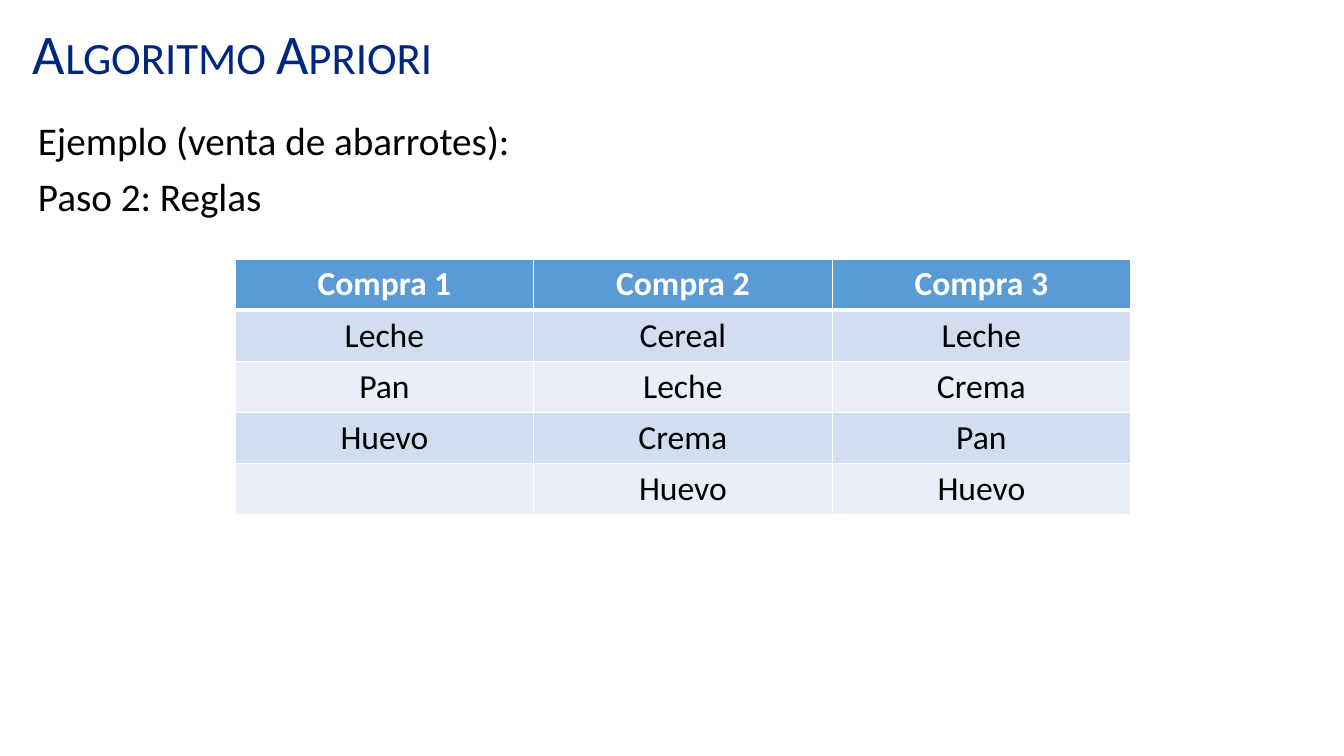
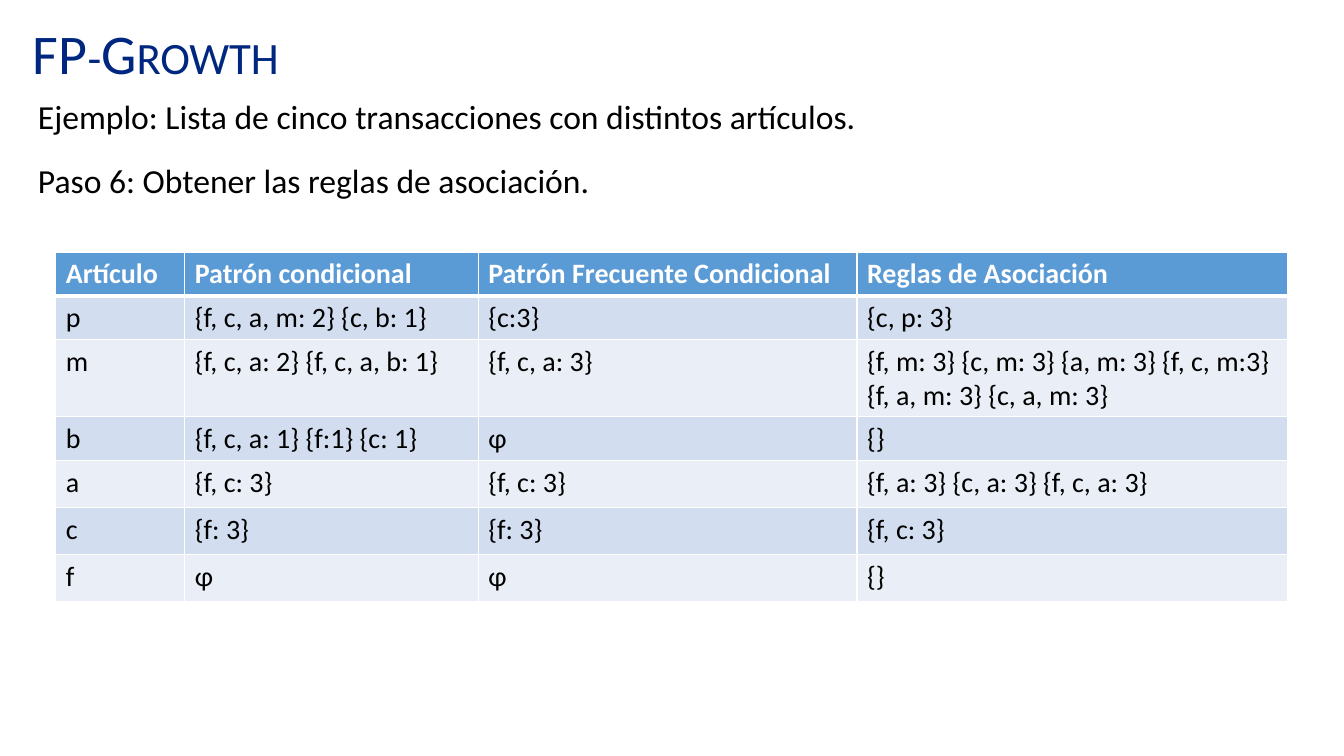
from dataclasses import dataclass

import pptx
import pptx.dml.color
import pptx.enum.text
import pptx.oxml
import pptx.oxml.ns
import pptx.slide
import pptx.table
import pptx.text.text
import pptx.util

Pt = pptx.util.Pt
RGBColor = pptx.dml.color.RGBColor
Align = pptx.enum.text.PP_ALIGN
Anchor = pptx.enum.text.MSO_ANCHOR

FONT = "Calibri"
NAVY = RGBColor(0x00, 0x27, 0x80)
BLACK = RGBColor(0x00, 0x00, 0x00)
WHITE = RGBColor(0xFF, 0xFF, 0xFF)
HEADER_BLUE = RGBColor(0x5B, 0x9B, 0xD5)
ROW_BANDS = (RGBColor(0xEA, 0xEF, 0xF7), RGBColor(0xD2, 0xDE, 0xEF))
THIN, THICK = 1, 3


@dataclass(frozen=True)
class Box:
    left: float
    top: float
    width: float
    height: float


@dataclass(frozen=True)
class TextBlock:
    lines: tuple[str, ...]
    box: Box
    size: float
    color: RGBColor = BLACK
    align: Align = Align.JUSTIFY
    anchor: Anchor = Anchor.TOP
    line_spacing: float = 0.9
    space_before: float = 10
    small_caps: bool = False


@dataclass(frozen=True)
class Grid:
    rows: tuple[tuple[str, ...], ...]
    left: float
    top: float
    columns: tuple[float, ...]
    heights: tuple[float, ...]
    size: float
    align: Align


@dataclass(frozen=True)
class Page:
    title: str
    body: tuple[TextBlock, ...]
    grid: Grid


TITLE_BOX = Box(16.5, 5, 828, 60.5)
BODY_LEFT = 20

PAGES = (
    Page(
        "Algoritmo Apriori",
        (
            TextBlock(
                ("Ejemplo (venta de abarrotes):", "Paso 2: Reglas"),
                Box(BODY_LEFT, 83, 920, 85), 28,
            ),
        ),
        Grid(
            (
                ("Compra 1", "Compra 2", "Compra 3"),
                ("Leche", "Cereal", "Leche"),
                ("Pan", "Leche", "Crema"),
                ("Huevo", "Crema", "Pan"),
                ("", "Huevo", "Huevo"),
            ),
            168, 185, (213.2,) * 3, (36.5,) * 5, 24, Align.CENTER,
        ),
    ),
    Page(
        "FP-Growth",
        (
            TextBlock(
                ("Ejemplo: Lista de cinco transacciones con distintos artículos.",),
                Box(BODY_LEFT, 68.5, 920, 39.5), 24,
            ),
            TextBlock(
                ("Paso 6: Obtener las reglas de asociación.",),
                Box(BODY_LEFT, 111, 904, 36), 24,
                align=Align.LEFT, line_spacing=1, space_before=0,
            ),
        ),
        Grid(
            (
                ("Artículo", "Patrón condicional", "Patrón Frecuente Condicional",
                 "Reglas de Asociación"),
                ("p", "{f, c, a, m: 2} {c, b: 1}", "{c:3}", "{c, p: 3}"),
                ("m", "{f, c, a: 2} {f, c, a, b: 1}", "{f, c, a: 3}",
                 "{f, m: 3} {c, m: 3} {a, m: 3} {f, c, m:3} {f, a, m: 3} {c, a, m: 3}"),
                ("b", "{f, c, a: 1} {f:1} {c: 1}", "φ", "{}"),
                ("a", "{f, c: 3}", "{f, c: 3}", "{f, a: 3} {c, a: 3} {f, c, a: 3}"),
                ("c", "{f: 3}", "{f: 3}", "{f, c: 3}"),
                ("f", "φ", "φ", "{}"),
            ),
            39.8, 180, (92.2, 209.6, 270.6, 307.4),
            (31.2, 31.2, 55, 31.2, 33.6, 33.6, 33.6), 20, Align.LEFT,
        ),
    ),
)


def style_font(font: pptx.text.text.Font, size: float, color: RGBColor,
               bold: bool = False) -> None:
    font.name = FONT
    font.size = Pt(size)
    font.bold = bold
    font.color.rgb = color


def add_text(slide: pptx.slide.Slide, block: TextBlock) -> None:
    box = block.box
    frame = slide.shapes.add_textbox(
        Pt(box.left), Pt(box.top), Pt(box.width), Pt(box.height)
    ).text_frame
    frame.word_wrap = True
    frame.vertical_anchor = block.anchor
    frame.text = "\n".join(block.lines)
    for paragraph in frame.paragraphs:
        paragraph.alignment = block.align
        paragraph.line_spacing = block.line_spacing
        paragraph.space_before = Pt(block.space_before)
        for run in paragraph.runs:
            style_font(run.font, block.size, block.color)
            if block.small_caps:
                run.font._element.set("cap", "small")


def add_title(slide: pptx.slide.Slide, title: str) -> None:
    add_text(slide, TextBlock(
        (title,), TITLE_BOX, 40, NAVY, Align.LEFT, Anchor.BOTTOM,
        space_before=0, small_caps=True,
    ))


def add_borders(cell: pptx.table._Cell, top: float, bottom: float) -> None:
    """Draw white cell borders; call before filling, as the schema wants lines first."""
    properties = cell._tc.get_or_add_tcPr()
    for side, width in (("L", THIN), ("R", THIN), ("T", top), ("B", bottom)):
        properties.append(pptx.oxml.parse_xml(
            f'<a:ln{side} {pptx.oxml.ns.nsdecls("a")} w="{Pt(width)}">'
            f'<a:solidFill><a:srgbClr val="{WHITE}"/></a:solidFill></a:ln{side}>'
        ))


def add_grid(slide: pptx.slide.Slide, grid: Grid) -> None:
    table = slide.shapes.add_table(
        len(grid.rows), len(grid.columns), Pt(grid.left), Pt(grid.top),
        Pt(sum(grid.columns)), Pt(sum(grid.heights)),
    ).table
    for column, width in zip(table.columns, grid.columns):
        column.width = Pt(width)
    for row, height in zip(table.rows, grid.heights):
        row.height = Pt(height)
    for row_index, texts in enumerate(grid.rows):
        header = row_index == 0
        for column_index, text in enumerate(texts):
            cell = table.cell(row_index, column_index)
            add_borders(cell, THICK if row_index == 1 else THIN,
                        THICK if header else THIN)
            cell.fill.solid()
            cell.fill.fore_color.rgb = HEADER_BLUE if header else ROW_BANDS[row_index % 2]
            cell.text_frame.text = text
            paragraph = cell.text_frame.paragraphs[0]
            paragraph.alignment = grid.align
            for run in paragraph.runs:
                style_font(run.font, grid.size, WHITE if header else BLACK, header)


def main() -> None:
    presentation = pptx.Presentation()
    presentation.slide_width = Pt(960)
    presentation.slide_height = Pt(540)
    blank = presentation.slide_layouts[6]
    for page in PAGES:
        slide = presentation.slides.add_slide(blank)
        add_title(slide, page.title)
        for block in page.body:
            add_text(slide, block)
        add_grid(slide, page.grid)
    presentation.save("out.pptx")


if __name__ == "__main__":
    main()
